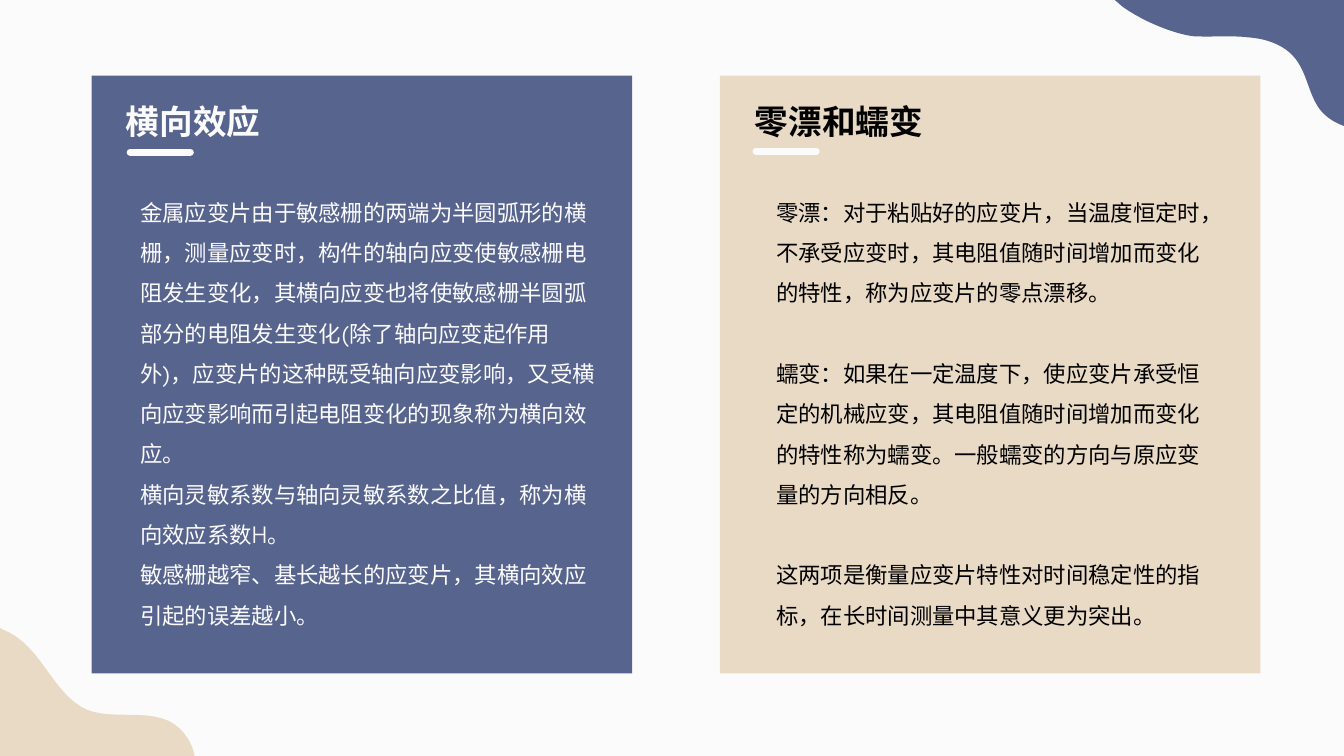
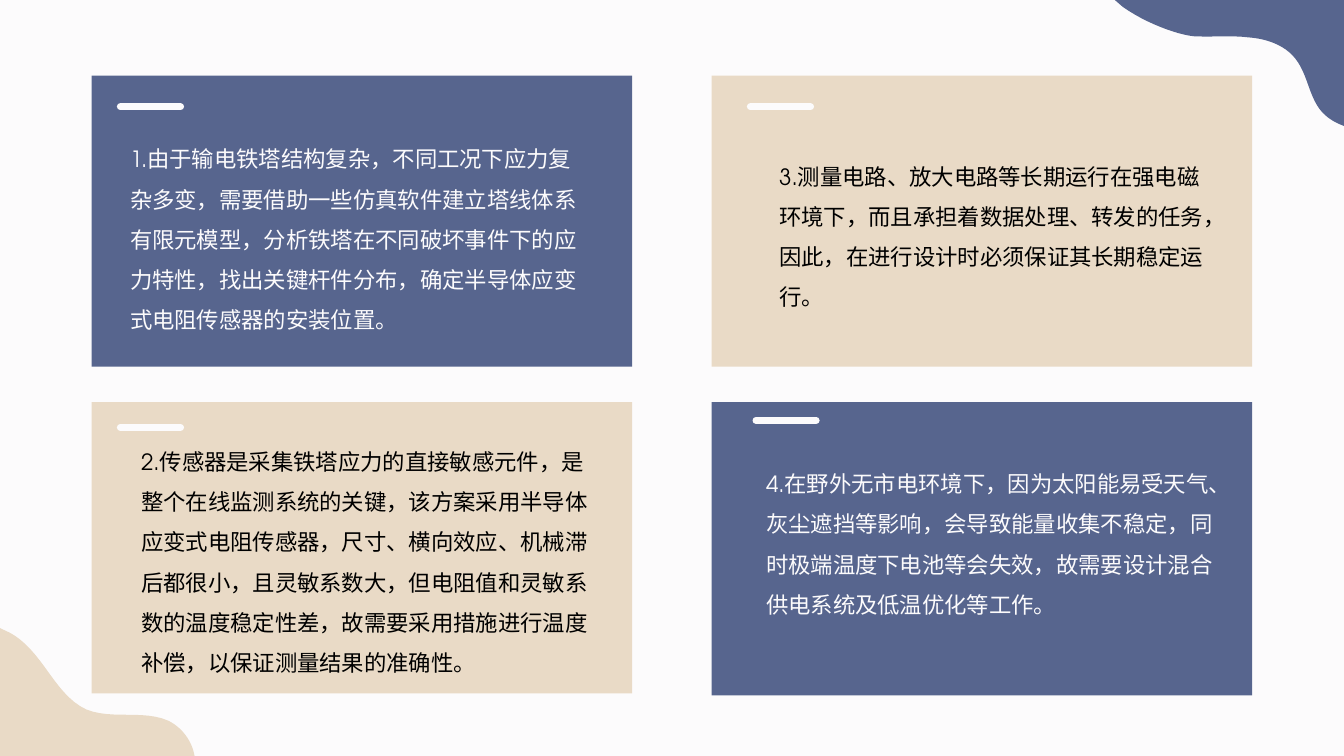
from dataclasses import dataclass

from lxml.etree import SubElement
from pptx import Presentation
from pptx.dml.color import RGBColor
from pptx.enum.shapes import MSO_CONNECTOR as Connector, MSO_SHAPE as Preset
from pptx.enum.text import MSO_ANCHOR as Anchor, MSO_AUTO_SIZE as AutoSize, PP_ALIGN as Align
from pptx.oxml.ns import qn
from pptx.util import Pt


@dataclass(frozen=True)
class Theme:
    paper: RGBColor = RGBColor(0xFC, 0xFB, 0xFC)
    blue: RGBColor = RGBColor(0x57, 0x65, 0x8E)
    sand: RGBColor = RGBColor(0xE9, 0xDA, 0xC6)
    black: RGBColor = RGBColor(0, 0, 0)
    font: str = "TeX Gyre Adventor"
    heading_size: int = 24
    body_size: int = 16
    line_spacing: float = 1.5
    paragraph_gap: float = 28.8


THEME = Theme()
BACK = 2
COMPARISON_LAYOUT = 4
CARD_LEFT, CARD_TOP, CARD_WIDTH = 65.5, 54, 386
CARD_HEIGHT, ROW_PITCH = 208, 233.3
BAR_LENGTH, BAR_WEIGHT = 43, 5
CURVE_STEPS = 12

TOP_BLOB = [
    (796.3, 0), (960, 0), (960, 90), (958.3, 89.3),
    (952.6, 87.1, 946.8, 83.5, 942.5, 77.8), (934.6, 67, 933.8, 52.6, 925.2, 41.8),
    (917.3, 31.7, 903.6, 27.4, 890.6, 26.6), (878.4, 25.2, 865.4, 26.6, 852.5, 25.9),
    (840.2, 24.5, 818.6, 16.6, 802.1, 5),
]
BOTTOM_BLOB = [
    (0, 448.6), (4.3, 450.7),
    (9.4, 452.9, 14.4, 456.5, 18, 460.1), (33.8, 474.5, 42.5, 498.2, 61.9, 506.9),
    (79.9, 514.1, 102.2, 506.9, 120.2, 514.8), (128.9, 519.1, 135.4, 527, 138.2, 536.4),
    (139, 540), (0, 540),
]


def flatten(outline):
    points = [outline[0]]
    for segment in outline[1:]:
        if len(segment) == 2:
            points.append(segment)
            continue
        curve = [points[-1], segment[:2], segment[2:4], segment[4:]]
        for step in range(1, CURVE_STEPS + 1):
            t = step / CURVE_STEPS
            weights = ((1 - t) ** 3, 3 * t * (1 - t) ** 2, 3 * t * t * (1 - t), t ** 3)
            points.append(tuple(sum(w * p[axis] for w, p in zip(weights, curve)) for axis in (0, 1)))
    return [(Pt(x), Pt(y)) for x, y in points]


class Deck:
    def __init__(self, theme):
        self.theme = theme
        self.presentation = Presentation()
        self.presentation.slide_width = Pt(960)
        self.presentation.slide_height = Pt(540)
        self.slide = None
        fill = self.presentation.slide_master.background.fill
        fill.solid()
        fill.fore_color.rgb = theme.paper

    def add_slide(self):
        layout = self.presentation.slide_layouts[COMPARISON_LAYOUT]
        self.slide = self.presentation.slides.add_slide(layout)

    def paint(self, shape, color):
        shape.shadow.inherit = False
        shape.fill.solid()
        shape.fill.fore_color.rgb = color
        shape.line.fill.background()

    def master_blob(self, outline, color):
        points = flatten(outline)
        builder = self.slide.shapes.build_freeform(*points[0])
        builder.add_line_segments(points[1:], close=True)
        shape = builder.convert_to_shape()
        self.paint(shape, color)
        self.presentation.slide_master.shapes.element.insert(BACK, shape.element)

    def card(self, left, top, height, color):
        box = [Pt(value) for value in (left, top, CARD_WIDTH, height)]
        shape = self.slide.shapes.add_shape(Preset.RECTANGLE, *box)
        self.paint(shape, color)
        self.slide.shapes.element.insert(BACK, shape.element)

    def bar(self, left, top):
        line = self.slide.shapes.add_connector(
            Connector.STRAIGHT, Pt(left), Pt(top), Pt(left + BAR_LENGTH), Pt(top))
        line.line.color.rgb = self.theme.paper
        line.line.width = Pt(BAR_WEIGHT)
        properties = line.element.spPr
        properties.find(qn("a:ln")).set("cap", "rnd")
        SubElement(properties, qn("a:effectLst"))

    def fill_placeholder(self, index, box, paragraphs, color, size, bold, wrap, spacing, gap=0):
        shape = self.slide.placeholders[index]
        shape.left, shape.top, shape.width, shape.height = [Pt(value) for value in box]
        frame = shape.text_frame
        frame.text = "\n".join(paragraphs)
        frame.word_wrap = wrap
        frame.auto_size = AutoSize.NONE
        frame.vertical_anchor = Anchor.TOP
        for position, paragraph in enumerate(frame.paragraphs):
            properties = paragraph._p.get_or_add_pPr()
            properties.set("marL", "0")
            properties.set("indent", "0")
            SubElement(properties, qn("a:buNone"))
            paragraph.alignment = Align.LEFT
            paragraph.line_spacing = spacing
            paragraph.space_before = Pt(gap if position else 0)
            font = paragraph.font
            font.name, font.size, font.bold = self.theme.font, Pt(size), bold
            font.color.rgb = color

    def heading(self, index, box, text, color):
        self.fill_placeholder(index, box, [text], color, self.theme.heading_size, True, False, 1.0)

    def body(self, index, box, paragraphs, color, gap=0):
        self.fill_placeholder(index, box, paragraphs, color, self.theme.body_size, False, True,
                              self.theme.line_spacing, gap)

    def remove_empty_placeholders(self):
        for shape in list(self.slide.placeholders):
            if not shape.text_frame.text:
                shape.element.getparent().remove(shape.element)


def effects_slide(deck):
    theme = deck.theme
    deck.add_slide()
    deck.master_blob(BOTTOM_BLOB, theme.sand)
    deck.master_blob(TOP_BLOB, theme.blue)
    for left, color in ((CARD_LEFT, theme.blue), (514.3, theme.sand)):
        deck.card(left, CARD_TOP, 427, color)
    deck.heading(0, (82.8, 68.4, 111.6, 36), "横向效应", theme.paper)
    deck.bar(93, 108.7)
    deck.body(2, (92.9, 128.9, 340, 324), [
        "金属应变片由于敏感栅的两端为半圆弧形的横栅，测量应变时，构件的轴向应变使敏感栅电阻发生变化，"
        "其横向应变也将使敏感栅半圆弧部分的电阻发生变化(除了轴向应变起作用外)，应变片的这种既受轴向应变影响，"
        "又受横向应变影响而引起电阻变化的现象称为横向效应。",
        "横向灵敏系数与轴向灵敏系数之比值，称为横向效应系数H。",
        "敏感栅越窄、基长越长的应变片，其横向效应引起的误差越小。",
    ], theme.paper)
    deck.heading(3, (532, 68.4, 135.4, 36), "零漂和蠕变", theme.black)
    deck.bar(540, 108)
    deck.body(4, (547.2, 128.9, 320, 324), [
        "零漂：对于粘贴好的应变片，当温度恒定时，不承受应变时，其电阻值随时间增加而变化的特性，"
        "称为应变片的零点漂移。",
        "蠕变：如果在一定温度下，使应变片承受恒定的机械应变，其电阻值随时间增加而变化的特性称为蠕变。"
        "一般蠕变的方向与原应变量的方向相反。",
        "这两项是衡量应变片特性对时间稳定性的指标，在长时间测量中其意义更为突出。",
    ], theme.black, theme.paragraph_gap)
    deck.remove_empty_placeholders()


def challenges_slide(deck):
    theme = deck.theme
    challenges = [
        ((86, 76.3), (85.7, 90.7, 340, 149),
         "1.由于输电铁塔结构复杂，不同工况下应力复杂多变，需要借助一些仿真软件建立塔线体系有限元模型，"
         "分析铁塔在不同破坏事件下的应力特性，找出关键杆件分布，确定半导体应变式电阻传感器的安装位置。"),
        ((86, 305.3), (93.6, 306.7, 340, 178.6),
         "2.传感器是采集铁塔应力的直接敏感元件，是整个在线监测系统的关键，该方案采用半导体应变式电阻传感器，"
         "尺寸、横向效应、机械滞后都很小，且灵敏系数大，但电阻值和灵敏系数的温度稳定性差，"
         "故需要采用措施进行温度补偿，以保证测量结果的准确性。"),
        ((536, 76.3), (549.4, 103, 320, 120),
         "3.测量电路、放大电路等长期运行在强电磁环境下，而且承担着数据处理、转发的任务，"
         "因此，在进行设计时必须保证其长期稳定运行。"),
        ((540, 300.3), (540, 322.6, 340, 120),
         "4.在野外无市电环境下，因为太阳能易受天气、灰尘遮挡等影响，会导致能量收集不稳定，"
         "同时极端温度下电池等会失效，故需要设计混合供电系统及低温优化等工作。"),
    ]
    deck.add_slide()
    for number, (bar, box, text) in enumerate(challenges):
        column, row = divmod(number, 2)
        is_blue = column == row
        deck.card((CARD_LEFT, 508.4)[column], CARD_TOP + row * ROW_PITCH,
                  CARD_HEIGHT + 1.5 * column * row, theme.blue if is_blue else theme.sand)
        deck.bar(*bar)
        deck.body(number + 1, box, [text], theme.paper if is_blue else theme.black)
    deck.remove_empty_placeholders()


def main():
    deck = Deck(THEME)
    effects_slide(deck)
    challenges_slide(deck)
    deck.presentation.save("out.pptx")


if __name__ == "__main__":
    main()
